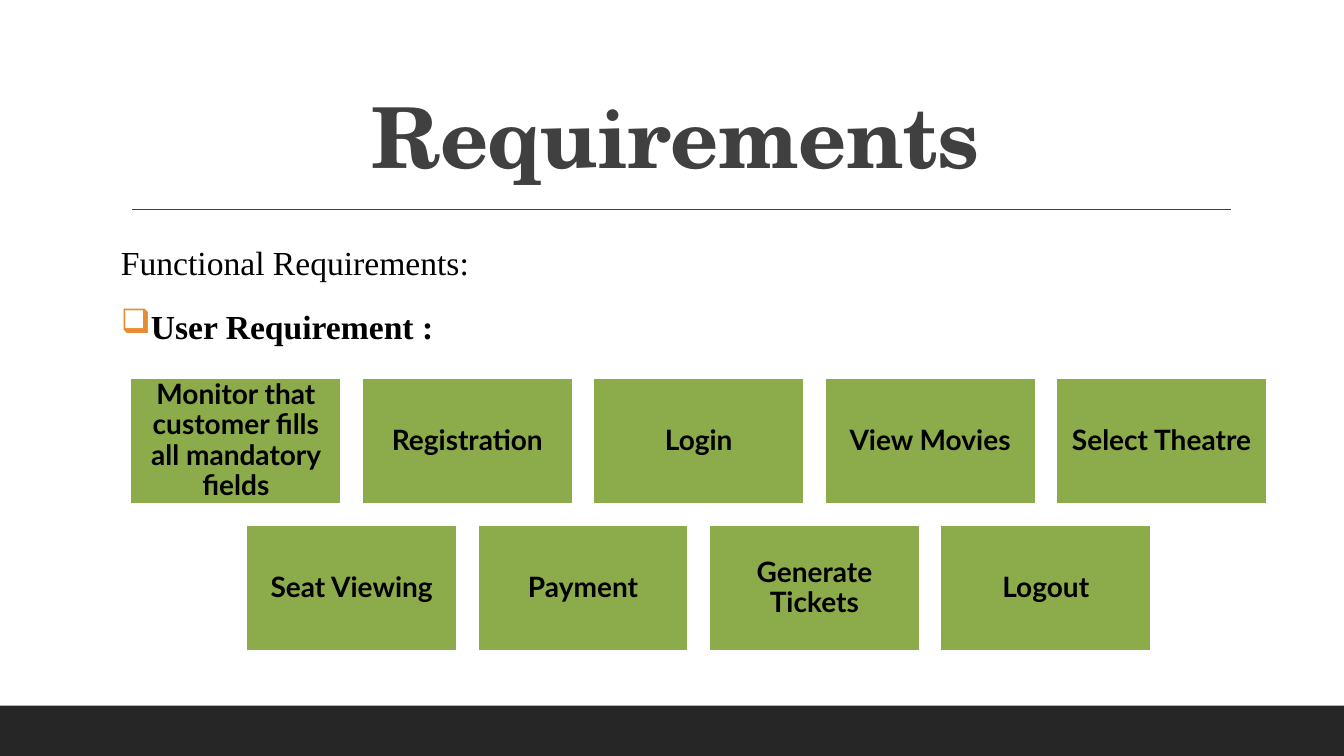
from dataclasses import dataclass

from lxml.etree import SubElement
from pptx import Presentation
from pptx.dml.color import RGBColor
from pptx.enum.shapes import MSO_CONNECTOR, MSO_SHAPE
from pptx.enum.text import MSO_ANCHOR, PP_ALIGN
from pptx.oxml.ns import qn
from pptx.shapes.autoshape import Shape
from pptx.slide import Slide
from pptx.text.text import _Paragraph as Para
from pptx.util import Inches, Pt


@dataclass(frozen=True)
class Style:
    font: str
    size: int
    color: str
    bold: bool = False


@dataclass(frozen=True)
class Theme:
    band: str = "262626"
    rule: str = "404040"
    card: str = "8CAB4A"
    edge: str = "FFFFFF"
    mark: str = "E88B33"
    title: Style = Style("TeX Gyre Schola", 60, "404040", True)
    lead: Style = Style("Times New Roman", 24, "000000")
    head: Style = Style("Times New Roman", 24, "000000", True)
    label: Style = Style("Lato", 20, "000000", True)


@dataclass(frozen=True)
class Row:
    top: float
    names: tuple[str, ...]


THEME = Theme()
ROWS = (
    Row(3.75, ("Monitor that customer fills all mandatory fields",
               "Registration", "Login", "View Movies", "Select Theatre")),
    Row(5.21, ("Seat Viewing", "Payment", "Generate Tickets", "Logout")),
)
MID = 6.93
WIDE = 2.09
HIGH = 1.25
STEP = 9.18 / 4


def write(para: Para, text: str, style: Style, space: float) -> None:
    para.text = text
    para.line_spacing = space
    font = para.runs[0].font
    font.name = style.font
    font.size = Pt(style.size)
    font.bold = style.bold
    font.color.rgb = RGBColor.from_string(style.color)


def add_text(slide: Slide, left: float, top: float, wide: float, high: float) -> Shape:
    box = slide.shapes.add_textbox(Inches(left), Inches(top), Inches(wide), Inches(high))
    box.text_frame.word_wrap = True
    return box


def add_block(slide: Slide, left: float, top: float, wide: float, high: float,
              fill: str) -> Shape:
    block = slide.shapes.add_shape(
        MSO_SHAPE.RECTANGLE, Inches(left), Inches(top), Inches(wide), Inches(high))
    block.shadow.inherit = False
    block.fill.solid()
    block.fill.fore_color.rgb = RGBColor.from_string(fill)
    block.line.fill.background()
    return block


def add_rule(slide: Slide) -> None:
    rule = slide.shapes.add_connector(
        MSO_CONNECTOR.STRAIGHT, Inches(1.31), Inches(2.08), Inches(12.21), Inches(2.08))
    rule.line.color.rgb = RGBColor.from_string(THEME.rule)
    rule.line.width = Pt(1)
    SubElement(rule._element.spPr, qn("a:effectLst"))


def add_title(slide: Slide) -> None:
    frame = add_text(slide, 1.2, 0.31, 11, 1.59).text_frame
    frame.vertical_anchor = MSO_ANCHOR.BOTTOM
    para = frame.paragraphs[0]
    write(para, "Requirements", THEME.title, 0.9)
    para.alignment = PP_ALIGN.CENTER
    para.runs[0]._r.get_or_add_rPr().set("spc", "-50")


def add_mark(para: Para) -> None:
    props = para._p.get_or_add_pPr()
    props.set("marL", str(Inches(0.1)))
    props.set("indent", str(Inches(-0.1)))
    color = SubElement(props, qn("a:buClr"))
    SubElement(color, qn("a:srgbClr"), val=THEME.mark)
    SubElement(props, qn("a:buChar"), char="❑")


def add_body(slide: Slide) -> None:
    frame = add_text(slide, 1.2, 2.31, 11, 4.11).text_frame
    frame.margin_left = frame.margin_right = 0
    lead = frame.paragraphs[0]
    write(lead, "Functional Requirements:", THEME.lead, 1.1)
    lead.space_after = Pt(2)
    head = frame.add_paragraph()
    add_mark(head)
    write(head, "User Requirement :", THEME.head, 1.1)
    head.space_before = Pt(12)
    head.space_after = Pt(2)


def add_row(slide: Slide, row: Row) -> None:
    start = MID - ((len(row.names) - 1) * STEP + WIDE) / 2
    for i, name in enumerate(row.names):
        card = add_block(slide, start + i * STEP, row.top, WIDE, HIGH, THEME.card)
        card.line.color.rgb = RGBColor.from_string(THEME.edge)
        card.line.width = Pt(1.25)
        frame = card.text_frame
        frame.word_wrap = True
        frame.vertical_anchor = MSO_ANCHOR.MIDDLE
        frame.margin_left = frame.margin_right = Inches(0.08)
        frame.margin_top = frame.margin_bottom = Inches(0.08)
        write(frame.paragraphs[0], name, THEME.label, 0.9)
        frame.paragraphs[0].alignment = PP_ALIGN.CENTER


def main() -> None:
    deck = Presentation()
    deck.slide_width = Inches(13.33)
    deck.slide_height = Inches(7.5)
    slide = deck.slides.add_slide(deck.slide_layouts[6])
    add_block(slide, 0, 7, 13.33, 0.5, THEME.band)
    add_rule(slide)
    add_title(slide)
    add_body(slide)
    for row in ROWS:
        add_row(slide, row)
    deck.save("out.pptx")


if __name__ == "__main__":
    main()
